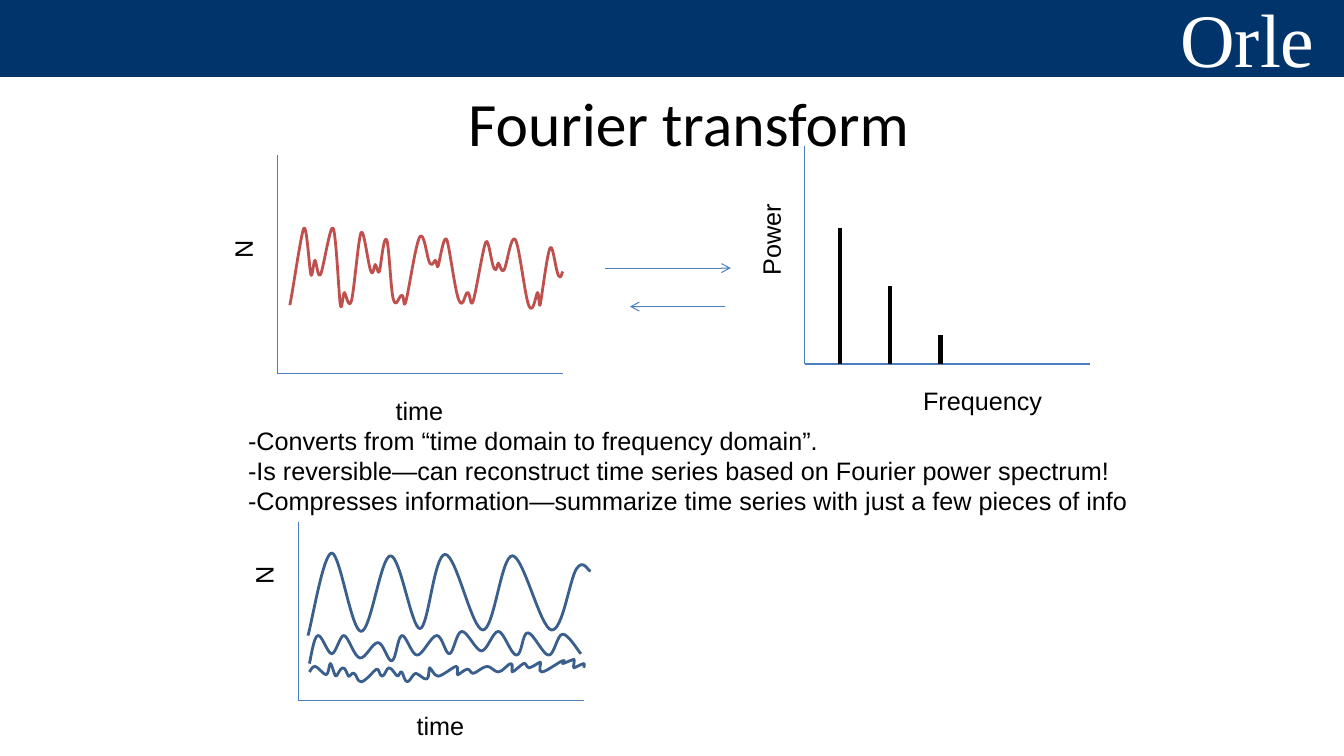
from lxml.etree import SubElement
from pptx import Presentation
from pptx.dml.color import RGBColor
from pptx.enum.shapes import MSO_CONNECTOR, MSO_SHAPE
from pptx.enum.text import MSO_ANCHOR, MSO_AUTO_SIZE, PP_ALIGN
from pptx.oxml.ns import qn
from pptx.util import Pt

NAVY, AXIS_BLUE, WAVE_BLUE, RED = "00346A", "4B7EBC", "3A5F8C", "C0504D"
BLACK, WHITE = "000000", "FFFFFF"

# Turning points of each wave, in points from the top left of its axes.
SUM_WAVE = [
    (8.6, 107.2), (18.7, 51.7), (23.8, 84.8), (27.4, 74.8), (31, 84.8), (39.6, 52.4),
    (45.4, 105.7), (48.2, 97.8), (52.6, 104.3), (59.8, 54.6), (67, 82.7), (69.8, 77.6),
    (72.7, 82.7), (78.5, 60.4), (82.8, 102.8), (89.3, 100), (92.2, 104.3), (101.5, 58.2),
    (108.7, 76.9), (113, 74.8), (115.2, 79.1), (121, 60.4), (129.6, 103.6), (136.1, 97.8),
    (139.7, 104.3), (149, 61.8), (154.8, 80.5), (158.4, 76.9), (162, 82), (169.9, 60.4),
    (180, 107.9), (185.8, 97.8), (187.9, 105.7), (195.1, 66.1), (200.9, 86.3), (203.8, 82.7),
]
SLOW_WAVE = [
    (7.3, 80.6), (23.9, 22.3), (45.5, 78.4), (65.6, 23.7), (87.2, 75.6), (105.2, 23),
    (131.9, 77), (153.5, 24.4), (180.8, 77), (198.8, 33.1), (208.9, 34.5),
]
MIDDLE_WAVE = [
    (8, 100.8), (13.8, 81.3), (23.9, 93.6), (33.2, 80.6), (44, 97.2), (57, 85.6),
    (67.1, 98.6), (74.3, 80.6), (85.1, 95), (99.5, 80.6), (108.1, 94.3), (117.5, 78.4),
    (131.2, 92.1), (142.7, 77.7), (155.6, 95), (164.3, 79.2), (178.7, 95), (189.5, 79.9),
    (201.7, 94.3),
]
FAST_WAVE = [
    (8, 106.5), (11.6, 102.9), (20.3, 109.4), (23.2, 100.8), (27.5, 110.1), (31.8, 103.6),
    (36.1, 110.1), (39.7, 108), (45.5, 113.7), (56.3, 105.1), (59.9, 110.1), (64.9, 104.4),
    (70.7, 110.1), (73.6, 106.5), (77.9, 113.7), (84.4, 108), (91.6, 111.6), (93.7, 104.4),
    (100.2, 110.1), (113.2, 102.9), (113.9, 108.7), (121.1, 105.1), (125.4, 108),
    (135.5, 102.9), (143.4, 106.5), (152, 101.5), (152.8, 106.5), (161.4, 100.8),
    (165, 104.4), (172.9, 100), (173.6, 106.5), (189.5, 98.6), (189.5, 101.5),
    (196.7, 97.9), (197.4, 103.6), (203.9, 101.5), (203.9, 104.4),
]
NOTES = [
    "-Converts from “time domain to frequency domain”.",
    "-Is reversible—can reconstruct time series based on Fourier power spectrum!",
    "-Compresses information—summarize time series with just a few pieces of info",
]


def color(hex_string):
    return RGBColor.from_string(hex_string)


def format_text(paragraph, size, font, hex_string):
    for run in paragraph.runs:
        run.font.size = Pt(size)
        run.font.name = font
        run.font.color.rgb = color(hex_string)


def place(shape, left, top, width, height):
    shape.left, shape.top, shape.width, shape.height = map(Pt, (left, top, width, height))


def add_label(slide, text, box, rotation=0, size=18, font="Arial", hex_string=BLACK):
    label = slide.shapes.add_textbox(*map(Pt, box))
    label.rotation = rotation
    label.text_frame.word_wrap = False
    label.text_frame.text = text
    format_text(label.text_frame.paragraphs[0], size, font, hex_string)


def add_line(slide, start, end, hex_string=AXIS_BLUE, weight=0.75, arrow=False):
    line = slide.shapes.add_connector(MSO_CONNECTOR.STRAIGHT, *map(Pt, start + end))
    line.line.color.rgb = color(hex_string)
    line.line.width = Pt(weight)
    properties = line._element.spPr
    if arrow:
        SubElement(properties.find(qn("a:ln")), qn("a:tailEnd"), type="arrow")
    SubElement(properties, qn("a:effectLst"))


def add_wave(slide, left, top, turns, hex_string):
    """Draw a smooth curve whose tangent at each turn follows its neighbours."""
    builder = slide.shapes.build_freeform(left + turns[0][0], top + turns[0][1], scale=Pt(1))
    builder.add_line_segments([(left + x, top + y) for x, y in turns[1:]], close=False)
    wave = builder.convert_to_shape()
    wave.shadow.inherit = False
    wave.fill.background()
    wave.line.color.rgb = color(hex_string)
    wave.line.width = Pt(2)

    points = [(int(pt.get("x")), int(pt.get("y"))) for pt in wave._element.iter(qn("a:pt"))]
    padded = points[:1] + points + points[-1:]
    for i, segment in enumerate(list(wave._element.iter(qn("a:lnTo")))):
        before, start, end, after = padded[i:i + 4]
        leaving = [s + (e - b) / 6 for b, s, e in zip(before, start, end)]
        arriving = [e - (a - s) / 6 for s, e, a in zip(start, end, after)]
        segment.tag, segment[:] = qn("a:cubicBezTo"), []
        for x, y in (leaving, arriving, end):
            SubElement(segment, qn("a:pt"), x=str(round(x)), y=str(round(y)))


def add_axes(slide, left, top, width, height):
    add_line(slide, (left, top), (left, top + height))
    add_line(slide, (left, top + height), (left + width, top + height))


def add_time_series(slide, left, top, width, height, waves, hex_string, n_top, time_gap):
    add_axes(slide, left, top, width, height)
    add_label(slide, "time", (left + 77.5, top + height + time_gap, 49, 29))
    add_label(slide, "N", (left - 38, top + n_top, 27, 29), 270)
    for turns in waves:
        add_wave(slide, left, top, turns, hex_string)


def add_spectrum(slide, left, top, width, height):
    add_axes(slide, left, top, width, height)
    add_label(slide, "Frequency", (left + 77.5, top + height + 11.5, 100, 29))
    add_label(slide, "Power", (left - 57, top + 52.5, 66, 29), 270)
    base = top + height
    for i, power in enumerate((97, 56, 21)):
        x = left + 25 + 36 * i
        add_line(slide, (x, base), (x, base - power), BLACK, 3)


def add_transform_arrows(slide, left, top, width, height):
    add_line(slide, (left, top), (left + width, top), arrow=True)
    add_line(slide, (left + width - 4, top + height), (left + 18, top + height), arrow=True)


def add_banner(slide, left, top, width, height):
    band = slide.shapes.add_shape(MSO_SHAPE.RECTANGLE, *map(Pt, (left, top, width, height)))
    band.shadow.inherit = False
    band.fill.solid()
    band.fill.fore_color.rgb = color(NAVY)
    band.line.color.rgb = color(NAVY)
    band.line.width = Pt(2)
    add_label(slide, "Orle", (left + width - 124, top - 9.5, 152, 73),
              size=54, font="Times New Roman", hex_string=WHITE)


def fill_title(title, *box):
    place(title, *box)
    title.text_frame.text = "Fourier transform"
    title.text_frame.vertical_anchor = MSO_ANCHOR.MIDDLE
    title.text_frame.paragraphs[0].alignment = PP_ALIGN.CENTER
    format_text(title.text_frame.paragraphs[0], 44, "Calibri", BLACK)


def fill_notes(notes, *box):
    place(notes, *box)
    frame = notes.text_frame
    frame.text = "\n".join(NOTES)
    frame.word_wrap = False
    frame.auto_size = MSO_AUTO_SIZE.NONE
    for paragraph in frame.paragraphs:
        paragraph.space_before = Pt(0)
        properties = paragraph._p.get_or_add_pPr()
        properties.set("marL", "0")
        properties.set("indent", "0")
        SubElement(properties, qn("a:buNone"))
        format_text(paragraph, 18, "Arial", BLACK)


def main():
    presentation = Presentation()
    presentation.slide_width, presentation.slide_height = Pt(960), Pt(540)
    slide = presentation.slides.add_slide(presentation.slide_layouts[1])
    add_banner(slide, 0, 0, 960, 54)
    fill_title(slide.shapes.title, 168, 42, 648, 90)
    fill_notes(slide.placeholders[1], 170, 300, 649, 73)
    add_time_series(slide, 198, 111, 204, 156, [SUM_WAVE], RED, 52.5, 11.5)
    add_transform_arrows(slide, 432, 191.5, 90, 27.5)
    add_spectrum(slide, 574.75, 104, 204, 156)
    add_time_series(slide, 213, 373, 204, 127.5,
                    [SLOW_WAVE, MIDDLE_WAVE, FAST_WAVE], WAVE_BLUE, 23.5, 3.5)
    presentation.save("out.pptx")


if __name__ == "__main__":
    main()
